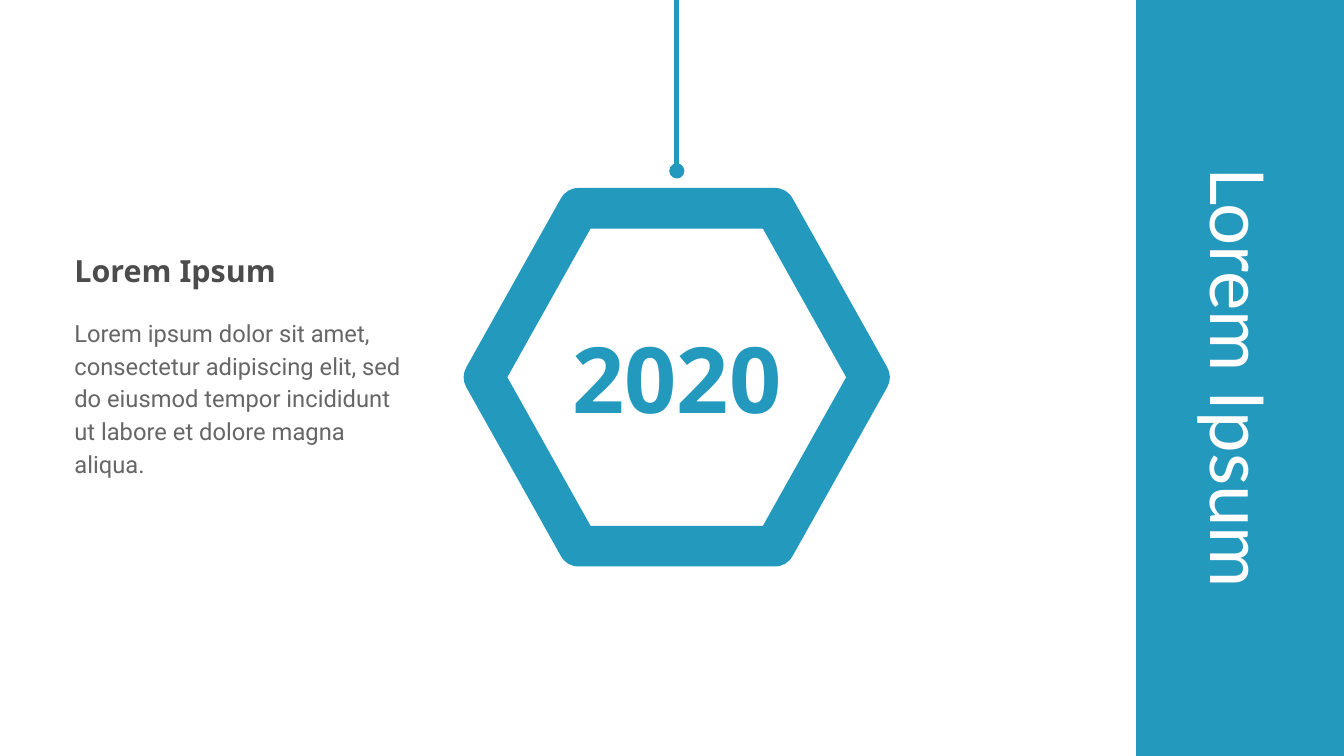
from pptx import Presentation
from pptx.dml.color import RGBColor
from pptx.enum.shapes import MSO_CONNECTOR, MSO_SHAPE
from pptx.enum.text import MSO_ANCHOR, MSO_AUTO_SIZE, PP_ALIGN
from pptx.oxml.ns import qn
from pptx.util import Cm, Pt
from lxml.etree import SubElement

TITLE = "Lorem Ipsum"
YEAR = "2020"
HEADING = "Lorem Ipsum"
BODY = ("Lorem ipsum dolor sit amet, consectetur adipiscing elit, sed do eiusmod "
        "tempor incididunt ut labore et dolore magna aliqua.")

COLORS = {"blue": "2499BE", "white": "FFFFFF", "heading": "4C4C4C", "body": "666666"}

SLIDE_WIDTH, SLIDE_HEIGHT = 28, 15.75
BAND_WIDTH = 4.33
TITLE_THICKNESS = 2.62
HEXAGON_WIDTH, HEXAGON_HEIGHT = 8.03, 7.04
HEXAGON_CENTER, HEXAGON_TOP = 14.1, 4.34
CORD_END = 3.56
TEXT_LEFT, TEXT_WIDTH = 1.3, 7.62


def color(name):
    return RGBColor.from_string(COLORS[name])


def write(shape, text, font, size, color_name, bold=False,
          align=PP_ALIGN.LEFT, anchor=MSO_ANCHOR.MIDDLE, wrap=True, spacing=None):
    frame = shape.text_frame
    frame.auto_size = MSO_AUTO_SIZE.NONE
    frame.word_wrap = wrap
    frame.vertical_anchor = anchor
    para = frame.paragraphs[0]
    para.alignment = align
    para.line_spacing = spacing
    span = para.add_run()
    span.text = text
    span.font.name = font
    span.font.size = Pt(size)
    span.font.bold = bold
    span.font.color.rgb = color(color_name)


def add_band(page):
    """Add the side band behind everything else on the page."""
    band = page.shapes.add_shape(MSO_SHAPE.RECTANGLE, Cm(SLIDE_WIDTH - BAND_WIDTH), 0,
                                 Cm(BAND_WIDTH), Cm(SLIDE_HEIGHT))
    band.shadow.inherit = False
    band.fill.solid()
    band.fill.fore_color.rgb = color("blue")
    band.line.fill.background()
    page.shapes.element.insert(2, band.element)


def add_title(page):
    """Turn the title placeholder to run down the middle of the band."""
    title = page.shapes.title
    center = SLIDE_WIDTH - BAND_WIDTH / 2
    title.left = Cm(center - SLIDE_HEIGHT / 2)
    title.top = Cm((SLIDE_HEIGHT - TITLE_THICKNESS) / 2)
    title.width, title.height = Cm(SLIDE_HEIGHT), Cm(TITLE_THICKNESS)
    title.rotation = 90
    frame = title.text_frame
    frame.margin_left = frame.margin_right = frame.margin_top = frame.margin_bottom = 0
    write(title, TITLE, "Lato", 44, "white", align=PP_ALIGN.CENTER)


def add_hexagon(page):
    hexagon = page.shapes.add_shape(
        MSO_SHAPE.HEXAGON, Cm(HEXAGON_CENTER - HEXAGON_WIDTH / 2), Cm(HEXAGON_TOP),
        Cm(HEXAGON_WIDTH), Cm(HEXAGON_HEIGHT))
    hexagon.adjustments[0] = 0.28
    hexagon.shadow.inherit = False
    hexagon.fill.background()
    hexagon.line.color.rgb = color("blue")
    hexagon.line.width = Pt(24)
    SubElement(hexagon.line._get_or_add_ln(), qn("a:round"))
    write(hexagon, YEAR, "Noto Sans", 54, "blue", bold=True,
          align=PP_ALIGN.CENTER, wrap=False)


def add_cord(page):
    """Add the line from above the hexagon to the top edge of the slide."""
    cord = page.shapes.add_connector(MSO_CONNECTOR.STRAIGHT, Cm(HEXAGON_CENTER),
                                     Cm(CORD_END), Cm(HEXAGON_CENTER), 0)
    cord.line.color.rgb = color("blue")
    cord.line.width = Pt(3)
    SubElement(cord.line._get_or_add_ln(), qn("a:headEnd"), type="oval")
    SubElement(cord.element.spPr, qn("a:effectLst"))


def add_text(page, top, height, *style, **options):
    box = page.shapes.add_textbox(Cm(TEXT_LEFT), Cm(top), Cm(TEXT_WIDTH), Cm(height))
    write(box, *style, **options)


def main():
    deck = Presentation()
    deck.slide_width, deck.slide_height = Cm(SLIDE_WIDTH), Cm(SLIDE_HEIGHT)
    page = deck.slides.add_slide(deck.slide_layouts[5])
    add_band(page)
    add_title(page)
    add_hexagon(page)
    add_text(page, 5, 1.27, HEADING, "Noto Sans", 18, "heading", bold=True)
    add_text(page, 6.43, 4.32, BODY, "Roboto", 14, "body",
             anchor=MSO_ANCHOR.TOP, spacing=1.15)
    add_cord(page)
    deck.save("out.pptx")


if __name__ == "__main__":
    main()
